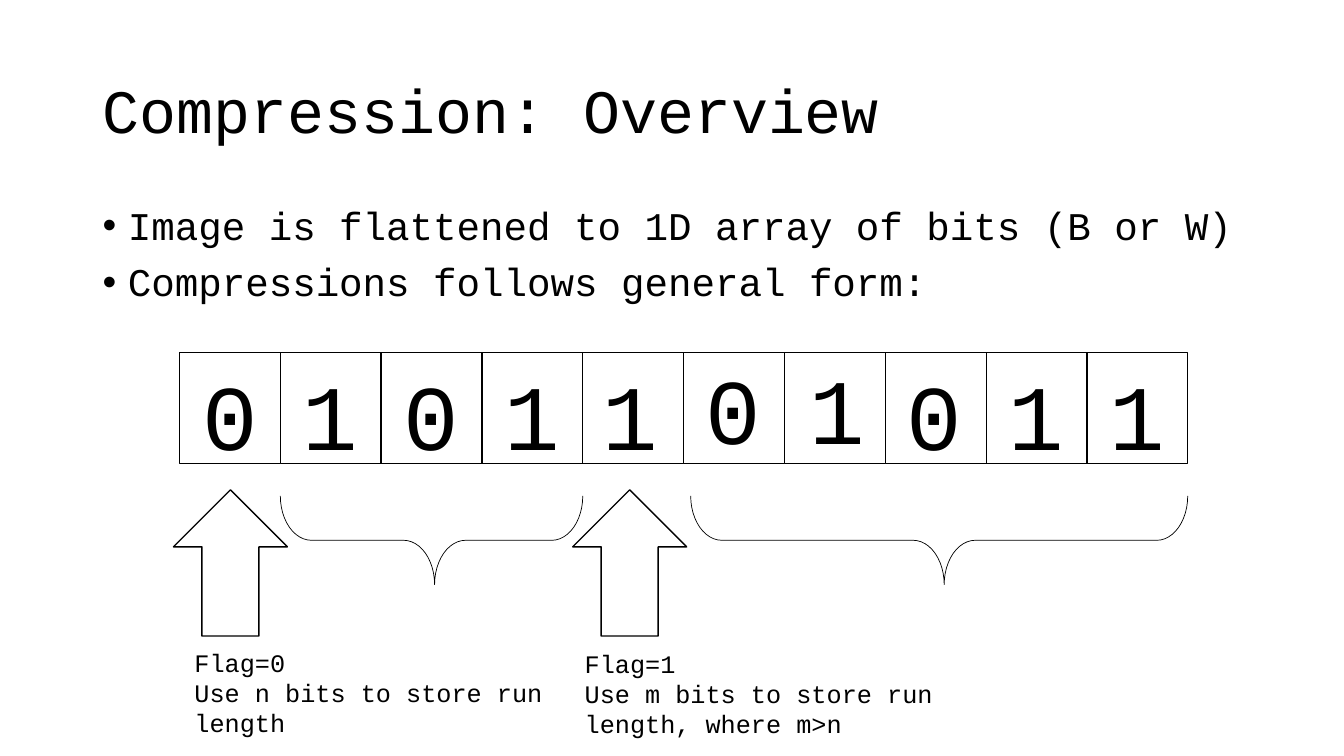
import dataclasses

import pptx
import pptx.dml.color
import pptx.enum.shapes
import pptx.enum.text
import pptx.oxml
import pptx.oxml.ns
import pptx.util

Inches = pptx.util.Inches
Pt = pptx.util.Pt
Shape = pptx.enum.shapes.MSO_SHAPE
Align = pptx.enum.text.PP_ALIGN
Anchor = pptx.enum.text.MSO_ANCHOR
NAMESPACE = pptx.oxml.ns.nsdecls("a")


@dataclasses.dataclass
class Theme:
    font: str = "Courier New"
    ink: str = "000000"
    paper: str = "FFFFFF"
    title_size: int = 44
    body_size: int = 28
    bit_size: int = 66
    note_size: int = 18
    outline: float = 1
    hairline: float = 0.5


def rgb(value):
    return pptx.dml.color.RGBColor.from_string(value)


def write_paragraph(paragraph, text, *, font, size, color, align=Align.LEFT,
                    spacing=None, before=0, bullet=False):
    paragraph.alignment = align
    paragraph.space_before = Pt(before)
    if spacing:
        paragraph.line_spacing = spacing
    if bullet:
        properties = paragraph._p.get_or_add_pPr()
        properties.set("marL", str(Inches(0.25)))
        properties.set("indent", str(-Inches(0.25)))
        for xml in (f'<a:buFont {NAMESPACE} typeface="Arial"/>',
                    f'<a:buChar {NAMESPACE} char="•"/>'):
            properties.append(pptx.oxml.parse_xml(xml))
    run = paragraph.add_run()
    run.text = text
    run.font.name = font
    run.font.size = Pt(size)
    run.font.color.rgb = rgb(color)


class SlideBuilder:
    def __init__(self, slide, theme):
        self.slide = slide
        self.theme = theme

    def text(self, box, lines, size, anchor=Anchor.TOP, **style):
        frame = self.slide.shapes.add_textbox(*map(Inches, box)).text_frame
        frame.word_wrap = True
        frame.vertical_anchor = anchor
        for index, line in enumerate(lines):
            paragraph = frame.add_paragraph() if index else frame.paragraphs[0]
            write_paragraph(paragraph, line, font=self.theme.font, size=size,
                            color=self.theme.ink, **style)

    def outline(self, line, weight):
        line.color.rgb = rgb(self.theme.ink)
        line.width = Pt(weight)

    def shape(self, kind, box, weight, filled=True):
        shape = self.slide.shapes.add_shape(kind, *map(Inches, box))
        shape.shadow.inherit = False
        if filled:
            shape.fill.solid()
            shape.fill.fore_color.rgb = rgb(self.theme.paper)
        else:
            shape.fill.background()
        self.outline(shape.line, weight)
        return shape

    def divider(self, x, top, height):
        line = self.slide.shapes.add_connector(
            pptx.enum.shapes.MSO_CONNECTOR.STRAIGHT,
            *map(Inches, (x, top, x, top + height)))
        self.outline(line.line, self.theme.hairline)
        line._element.spPr.append(pptx.oxml.parse_xml(f"<a:effectLst {NAMESPACE}/>"))

    def nested_cells(self, middle, top, height, widest):
        """Mark off unit cells with centred boxes, each two narrower, and a middle line."""
        for width in range(widest, 0, -2):
            self.shape(Shape.RECTANGLE, (middle - width / 2, top, width, height),
                       self.theme.outline)
        self.divider(middle, top, height)

    def brace_below(self, left, top, width, height):
        """Draw a brace pointing down; the box is its place after turning."""
        center_x, center_y = left + width / 2, top + height / 2
        box = (center_x - height / 2, center_y - width / 2, height, width)
        brace = self.shape(Shape.RIGHT_BRACE, box, self.theme.hairline, filled=False)
        brace.rotation = 90
        brace.adjustments[0] = 0.35
        brace.adjustments[1] = 0.49

    def digits(self, bits, left, top, nudges):
        """Set one digit per unit cell; nudges maps a position to its (x, y) offset."""
        for index, bit in enumerate(bits):
            dx, dy = nudges.get(index, (0, 0))
            self.text((left + index + dx, top + dy, 1, 1.21), [bit],
                      self.theme.bit_size, align=Align.CENTER)


def main():
    presentation = pptx.Presentation()
    presentation.slide_width = Inches(13.33)
    presentation.slide_height = Inches(7.5)
    theme = Theme()
    builder = SlideBuilder(
        presentation.slides.add_slide(presentation.slide_layouts[6]), theme)

    builder.text((0.92, 0.4, 11.5, 1.45), ["Compression: Overview"],
                 theme.title_size, anchor=Anchor.MIDDLE, spacing=0.9)
    builder.text((0.92, 2, 11.5, 4.76),
                 ["Image is flattened to 1D array of bits (B or W)",
                  "Compressions follows general form:"],
                 theme.body_size, spacing=0.9, before=10, bullet=True)

    array_left, array_top = 1.78, 3.5
    for cells_before_middle, widest in ((4, 8), (8, 4)):
        builder.nested_cells(array_left + cells_before_middle, array_top, 1.1, widest)
    builder.digits("0101101011", array_left, array_top, nudges={
        4: (-0.03, 0), 5: (-0.01, -0.06), 6: (0.02, -0.06), 7: (-0.01, 0)})

    for arrow_left in (1.72, 5.68):
        arrow = builder.shape(Shape.DOWN_ARROW, (arrow_left, 4.86, 1.13, 1.45),
                              theme.outline)
        arrow.rotation = 180
    for brace_left, brace_width in ((6.85, 4.93), (2.78, 3)):
        builder.brace_below(brace_left, 4.92, brace_width, 0.88)

    flag_notes = (
        (1.83, 6.37, "Flag=0", "Use n bits to store run length"),
        (5.7, 6.38, "Flag=1", "Use m bits to store run length, where m>n"),
    )
    for left, top, flag, meaning in flag_notes:
        builder.text((left, top, 3.95, 1.01), [flag, meaning], theme.note_size)

    presentation.save("out.pptx")


if __name__ == "__main__":
    main()
